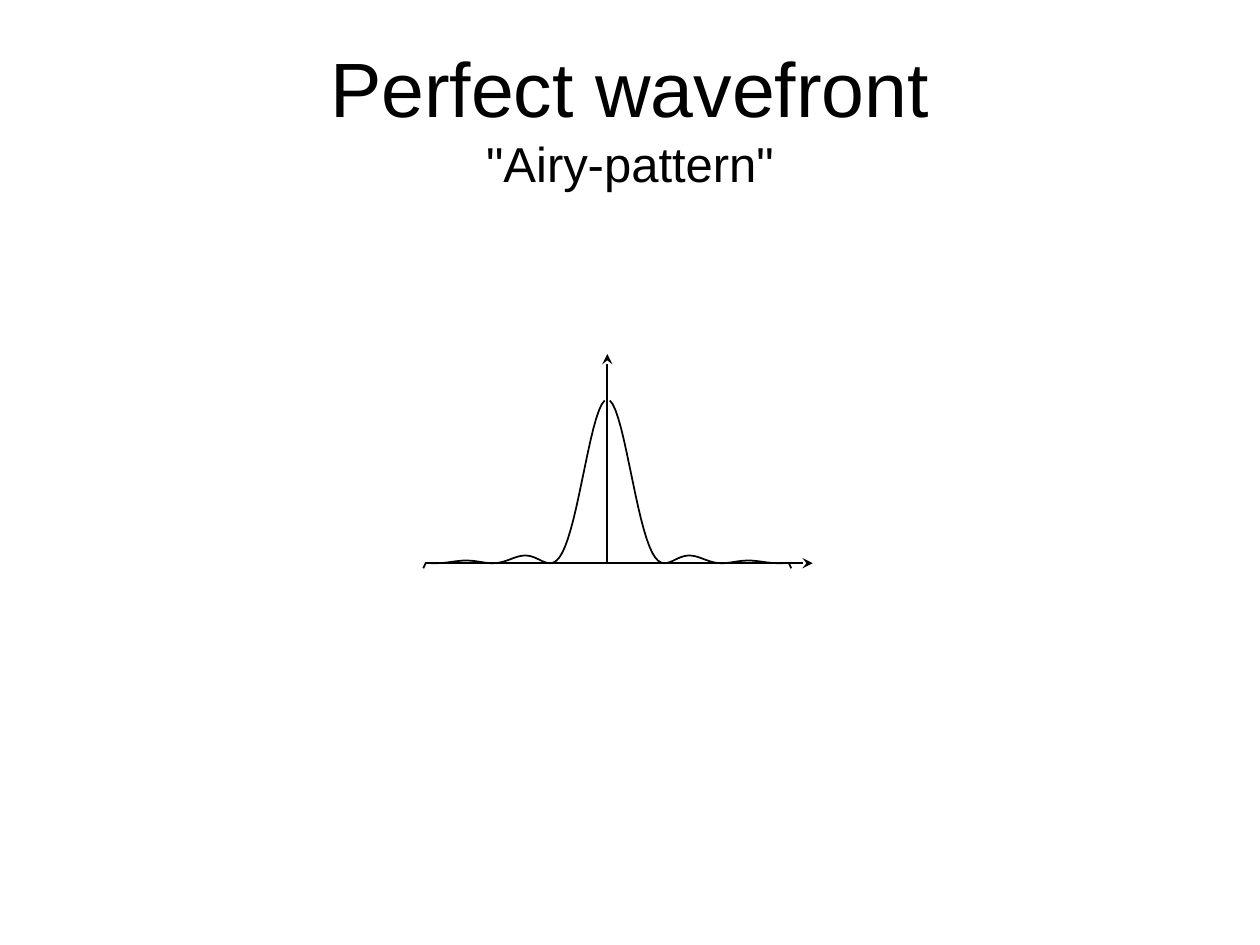
from dataclasses import dataclass
from math import pi, sin

from lxml import etree
from pptx import Presentation
from pptx.dml.color import RGBColor
from pptx.enum.shapes import MSO_CONNECTOR
from pptx.enum.text import MSO_ANCHOR, PP_ALIGN
from pptx.oxml.ns import qn
from pptx.util import Inches, Pt

STRAIGHT = MSO_CONNECTOR.STRAIGHT
MIDDLE = MSO_ANCHOR.MIDDLE
CENTER = PP_ALIGN.CENTER


@dataclass(frozen=True)
class Theme:
    ink: RGBColor = RGBColor(0, 0, 0)
    paper: RGBColor = RGBColor(255, 255, 255)
    font: str = "Arial"
    title: int = 44
    sub: int = 28
    stroke: int = 1


class Board:
    """Places elements on a grid of 100 columns by 75 rows."""

    def __init__(self, deck, theme):
        self.theme = theme
        self.unit = deck.slide_width / 100
        self.slide = deck.slides.add_slide(deck.slide_layouts[6])
        fill = self.slide.background.fill
        fill.solid()
        fill.fore_color.rgb = theme.paper

    def cells(self, *spans):
        return [round(span * self.unit) for span in spans]

    def ink(self, shape):
        shape.line.color.rgb = self.theme.ink
        shape.line.width = Pt(self.theme.stroke)

    def title(self, text, sizes, *box):
        frame = self.slide.shapes.add_textbox(*self.cells(*box)).text_frame
        frame.word_wrap = True
        frame.vertical_anchor = MIDDLE
        frame.text = text
        para = frame.paragraphs[0]
        para.alignment = CENTER
        for run, size in zip(para.runs, sizes):
            run.font.name = self.theme.font
            run.font.size = Pt(size)
            run.font.color.rgb = self.theme.ink

    def arrow(self, *ends):
        line = self.slide.shapes.add_connector(STRAIGHT, *self.cells(*ends))
        self.ink(line)
        props = line._element.spPr
        tip = etree.SubElement(props.get_or_add_ln(), qn("a:tailEnd"))
        tip.set("type", "stealth")
        etree.SubElement(props, qn("a:effectLst"))

    def curve(self, points):
        first, *rest = [self.cells(*point) for point in points]
        pen = self.slide.shapes.build_freeform(*first)
        pen.add_line_segments(rest, close=False)
        shape = pen.convert_to_shape()
        shape.shadow.inherit = False
        shape.fill.background()
        self.ink(shape)


def airy(side, mid, base):
    """One half of a squared sinc, ending in a short tick below the axis."""
    peak, zero, start, end, steps = 13, 4.55, 0.2, 14.4, 63
    points = []
    for i in range(steps + 1):
        gap = start + (end - start) * i / steps
        phase = pi * gap / zero
        points.append((mid + side * gap, base - peak * (sin(phase) / phase) ** 2))
    points.append((mid + side * (end + 0.2), base + 0.4))
    return points


def main():
    deck = Presentation()
    deck.slide_width, deck.slide_height = Inches(10), Inches(7.5)
    theme = Theme()
    board = Board(deck, theme)
    mid, base = 48.2, 44.7

    # Heading
    board.title('Perfect wavefront\v"Airy-pattern"', (theme.title, theme.sub),
                5, 3, 90, 12.5)

    # Intensity axis
    board.arrow(mid, base, mid, 28.1)

    # Both halves of the pattern
    for side in (1, -1):
        board.curve(airy(side, mid, base))

    # Position axis
    board.arrow(33.9, base, 64.5, base)

    deck.save("out.pptx")


if __name__ == "__main__":
    main()
